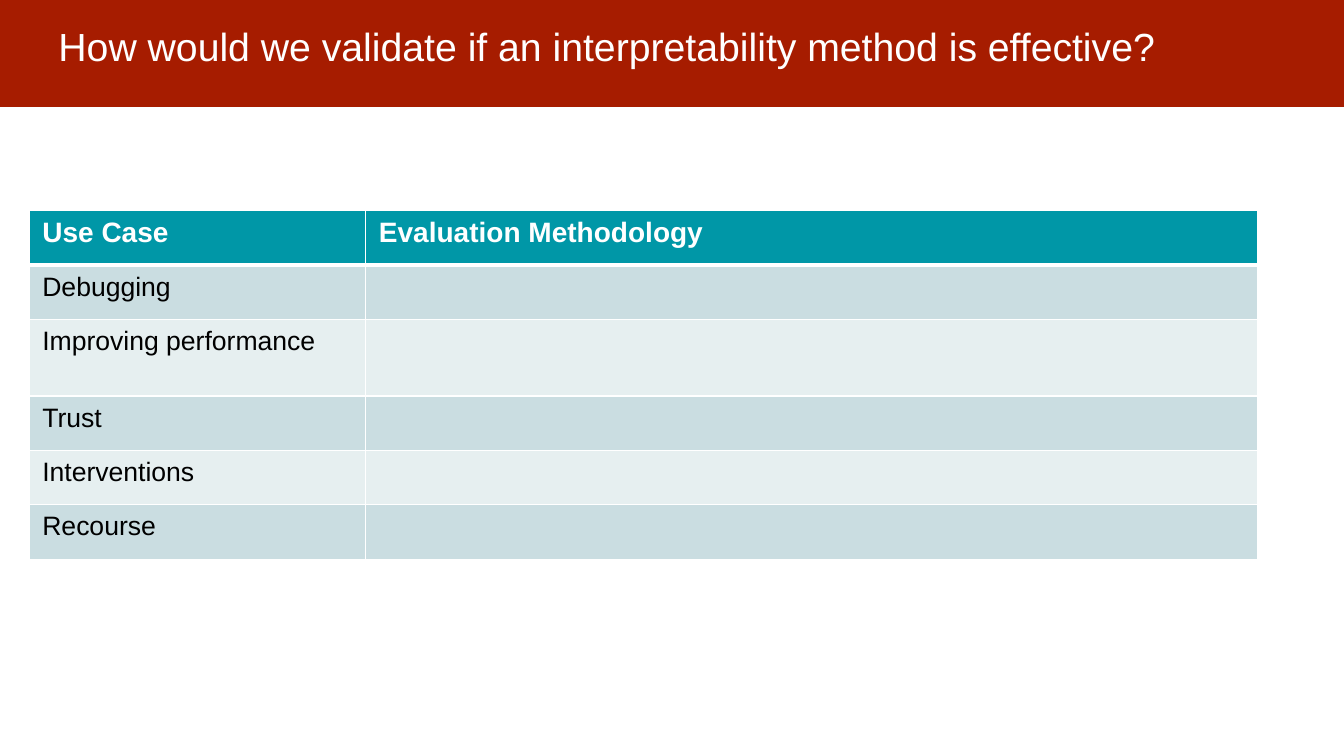
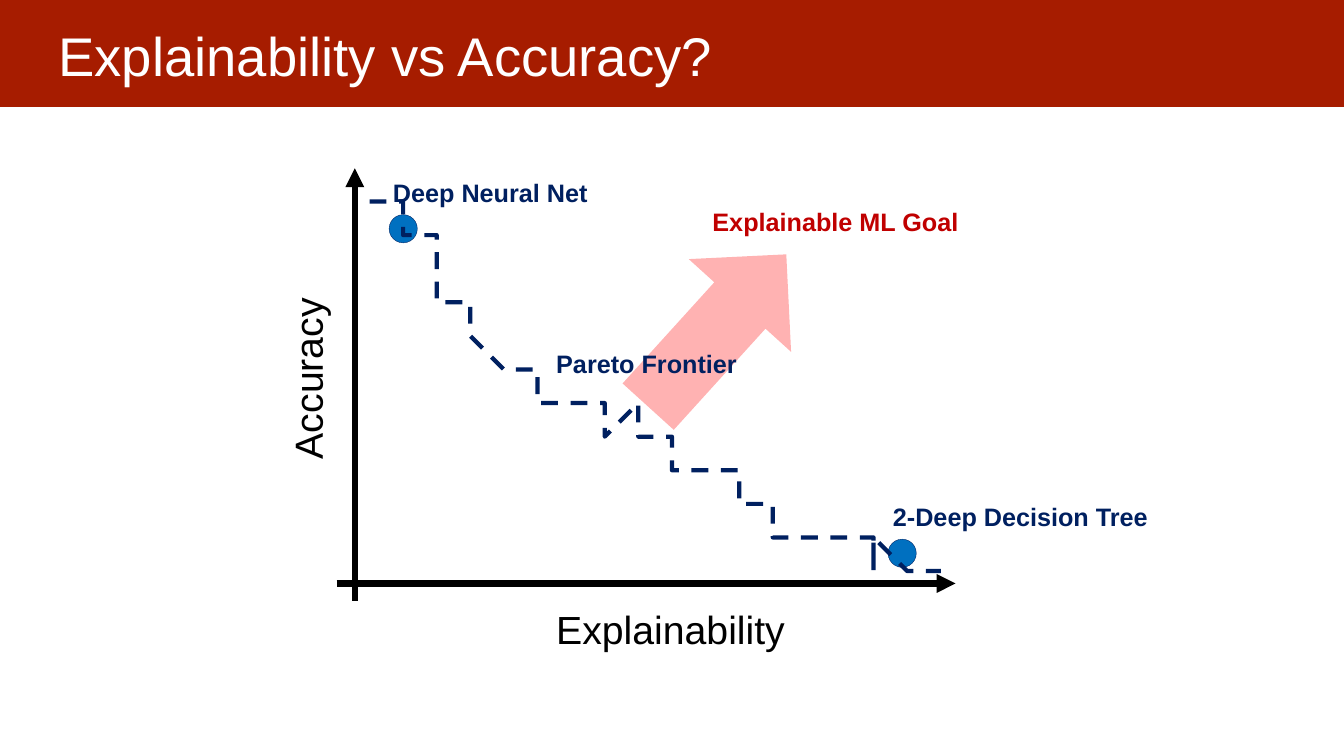
from dataclasses import dataclass

from lxml.etree import SubElement
from pptx import Presentation
from pptx.dml.color import RGBColor
from pptx.enum.dml import MSO_LINE_DASH_STYLE as Dash
from pptx.enum.shapes import MSO_CONNECTOR as Connector, MSO_SHAPE as Preset
from pptx.enum.text import MSO_ANCHOR as Anchor
from pptx.oxml.ns import qn
from pptx.util import Inches, Pt

# Grid: 40 square units across the slide, 22.5 down
SLIDE_WIDTH, SLIDE_HEIGHT = Inches(13.33), Inches(7.5)
UNIT = SLIDE_WIDTH / 40
FONT = "Arial"
COLORS = {
    "band": "A61C00", "white": "FFFFFF", "black": "000000",
    "header": "0097A7", "row_dark": "CADDE1", "row_light": "E6EFF0",
    "navy": "002060", "dot": "0070C0", "goal": "C00000", "arrow": "FF0000",
}


@dataclass(frozen=True)
class Box:
    left: float
    top: float
    width: float
    height: float

    def emu(self) -> tuple:
        return tuple(units(value) for value in
                     (self.left, self.top, self.width, self.height))


@dataclass(frozen=True)
class Label:
    text: str
    box: Box
    color: str = "navy"
    size: float = 18
    bold: bool = True
    rotation: float = 0


@dataclass(frozen=True)
class Axis:
    start: tuple
    end: tuple


USE_CASES = ["Debugging", "Improving performance", "Trust", "Interventions", "Recourse"]
COLUMN_WIDTHS = [10.02, 26.55]
ROW_HEIGHT, TALL_ROW_HEIGHT = 1.62, 2.28

AXES = [Axis((10.56, 17.88), (10.56, 5.01)), Axis((10.02, 17.37), (28.44, 17.37))]
MODEL_DOTS = [(26.43, 16.05), (11.58, 6.39)]
DOT_SIZE = 0.84
LABELS = [
    Label("Explainability", Box(16.26, 17.88, 7.5, 1.71), "black", 28, False),
    Label("Accuracy", Box(6.42, 10.38, 5.46, 1.71), "black", 28, False, 270),
    Label("2-Deep Decision Tree", Box(26.28, 14.79, 8.31, 1.2)),
    Label("Deep Neural Net", Box(11.4, 5.13, 6.45, 1.2)),
    Label("Pareto Frontier", Box(16.26, 10.23, 6.03, 1.2)),
    Label("Explainable ML Goal", Box(20.91, 6, 8.01, 1.2), "goal"),
]
FRONTIER = [
    (11.28, 5.97), (11.61, 6.03), (11.76, 6.39), (11.97, 6.63), (12.09, 6.72),
    (12.6, 6.75), (12.75, 6.99), (12.93, 7.35), (13.05, 7.77), (13.23, 8.25),
    (13.32, 8.76), (13.35, 8.88), (13.47, 8.97), (13.71, 9.03), (13.89, 9.3),
    (14.01, 9.75), (13.99, 10.1), (14.04, 10.41), (14.28, 10.47), (15.12, 10.53),
    (15.48, 10.8), (15.72, 11.01), (15.99, 11.37), (16.12, 11.55), (16.29, 11.64),
    (17.19, 11.67), (17.43, 11.79), (17.61, 12.03), (17.76, 12.27), (18, 12.48),
    (18.24, 12.57), (18.84, 12.48), (19.08, 12.51), (19.32, 12.69), (19.53, 12.87),
    (19.77, 13.11), (20.13, 13.47), (20.37, 13.59), (20.61, 13.77), (20.97, 13.92),
    (21.39, 13.95), (21.57, 14.19), (21.63, 14.43), (21.75, 14.67), (21.96, 14.88),
    (22.32, 15), (22.83, 15.15), (23.28, 15.57), (23.37, 15.69), (23.85, 15.93),
    (24.24, 16.03), (25.08, 16.05), (25.32, 16.2), (25.53, 16.44), (25.77, 16.53),
    (26.28, 16.48), (26.79, 16.53), (27.03, 16.68), (27.33, 16.67), (27.6, 16.56),
]


def units(value: float) -> int:
    return round(value * UNIT)


def rgb(name: str) -> RGBColor:
    return RGBColor.from_string(COLORS[name])


def add_run(paragraph, text: str, size: float, color: str, bold: bool = False) -> None:
    run = paragraph.add_run()
    run.text = text
    run.font.name, run.font.size, run.font.bold = FONT, Pt(size), bold
    run.font.color.rgb = rgb(color)


def add_preset(slide, preset, box: Box, fill: str):
    shape = slide.shapes.add_shape(preset, *box.emu())
    shape.shadow.inherit = False
    shape.fill.solid()
    shape.fill.fore_color.rgb = rgb(fill)
    shape.line.fill.background()
    return shape


def add_title(slide, text: str, size: float) -> None:
    text_box = slide.shapes.add_textbox(*Box(1.35, 0.27, 37.26, 2.49).emu())
    frame = text_box.text_frame
    frame.word_wrap = True
    frame.vertical_anchor = Anchor.TOP
    frame.margin_left = frame.margin_right = Inches(0.13)
    frame.margin_top = frame.margin_bottom = Inches(0.13)
    add_run(frame.paragraphs[0], text, size, "white")


def new_slide(presentation):
    """Blank slide with the shared band."""
    slide = presentation.slides.add_slide(presentation.slide_layouts[6])
    add_preset(slide, Preset.RECTANGLE, Box(-0.06, -0.12, 40.1, 3.3), "band")
    return slide


def add_label(slide, label: Label) -> None:
    text_box = slide.shapes.add_textbox(*label.box.emu())
    text_box.rotation = label.rotation
    text_box.text_frame.word_wrap = False
    add_run(text_box.text_frame.paragraphs[0], label.text, label.size,
            label.color, label.bold)


def add_axis(slide, axis: Axis) -> None:
    ends = [units(value) for value in axis.start + axis.end]
    connector = slide.shapes.add_connector(Connector.STRAIGHT, *ends)
    connector.line.color.rgb = rgb("black")
    connector.line.width = Pt(4.5)
    SubElement(connector.line._get_or_add_ln(), qn("a:tailEnd"), type="triangle")
    SubElement(connector._element.spPr, qn("a:effectLst"))


def add_frontier(slide) -> None:
    builder = slide.shapes.build_freeform(*FRONTIER[0], scale=UNIT)
    builder.add_line_segments(FRONTIER[1:], close=False)
    curve = builder.convert_to_shape()
    curve.shadow.inherit = False
    curve.fill.background()
    curve.line.color.rgb = rgb("navy")
    curve.line.width = Pt(3)
    curve.line.dash_style = Dash.DASH


def style_cell(cell, fill: str, bottom_width: float) -> None:
    cell.margin_left = cell.margin_right = Inches(0.13)
    cell.margin_top = cell.margin_bottom = Inches(0.07)
    properties = cell._tc.get_or_add_tcPr()
    for side, width in (("L", 1), ("R", 1), ("T", 1), ("B", bottom_width)):
        border = SubElement(properties, qn(f"a:ln{side}"), w=str(Pt(width)))
        solid = SubElement(border, qn("a:solidFill"))
        SubElement(solid, qn("a:srgbClr"), val=COLORS["white"])
    cell.fill.solid()
    cell.fill.fore_color.rgb = rgb(fill)


def add_use_case_table(slide) -> None:
    rows = [["Use Case", "Evaluation Methodology"]] + [[case, ""] for case in USE_CASES]
    heights = [TALL_ROW_HEIGHT if row[0] == "Improving performance" else ROW_HEIGHT
               for row in rows]
    box = Box(0.87, 6.27, sum(COLUMN_WIDTHS), sum(heights))
    table = slide.shapes.add_table(len(rows), len(COLUMN_WIDTHS), *box.emu()).table
    for column, width in zip(table.columns, COLUMN_WIDTHS):
        column.width = units(width)
    for index, (row, height) in enumerate(zip(rows, heights)):
        table.rows[index].height = units(height)
        header = index == 0
        fill = "header" if header else ("row_dark" if index % 2 else "row_light")
        for column_index, text in enumerate(row):
            cell = table.cell(index, column_index)
            style_cell(cell, fill, 3 if header else 1)
            if text:
                add_run(cell.text_frame.paragraphs[0], text, 20 if header else 19,
                        "white" if header else "black", header)


def build_validation_slide(presentation) -> None:
    slide = new_slide(presentation)
    add_title(slide, "How would we validate if an interpretability method is effective?", 28)
    add_use_case_table(slide)


def build_tradeoff_slide(presentation) -> None:
    slide = new_slide(presentation)
    # Goal arrow, 30 % opaque
    arrow = add_preset(slide, Preset.UP_ARROW, Box(19.29, 6.78, 4.11, 6.12), "arrow")
    arrow.rotation = 42.2
    color = arrow._element.spPr.find(f"{qn('a:solidFill')}/{qn('a:srgbClr')}")
    SubElement(color, qn("a:alpha"), val="30000")
    add_title(slide, "Explainability vs Accuracy?", 38.9)
    # Axes, model dots and frontier
    for axis in AXES:
        add_axis(slide, axis)
    for left, top in MODEL_DOTS:
        dot = add_preset(slide, Preset.OVAL, Box(left, top, DOT_SIZE, DOT_SIZE), "dot")
        dot.line.color.rgb = rgb("navy")
        dot.line.width = Pt(0.25)
    add_frontier(slide)
    for label in LABELS:
        add_label(slide, label)


def main() -> None:
    presentation = Presentation()
    presentation.slide_width, presentation.slide_height = SLIDE_WIDTH, SLIDE_HEIGHT
    build_validation_slide(presentation)
    build_tradeoff_slide(presentation)
    presentation.save("out.pptx")


if __name__ == "__main__":
    main()
